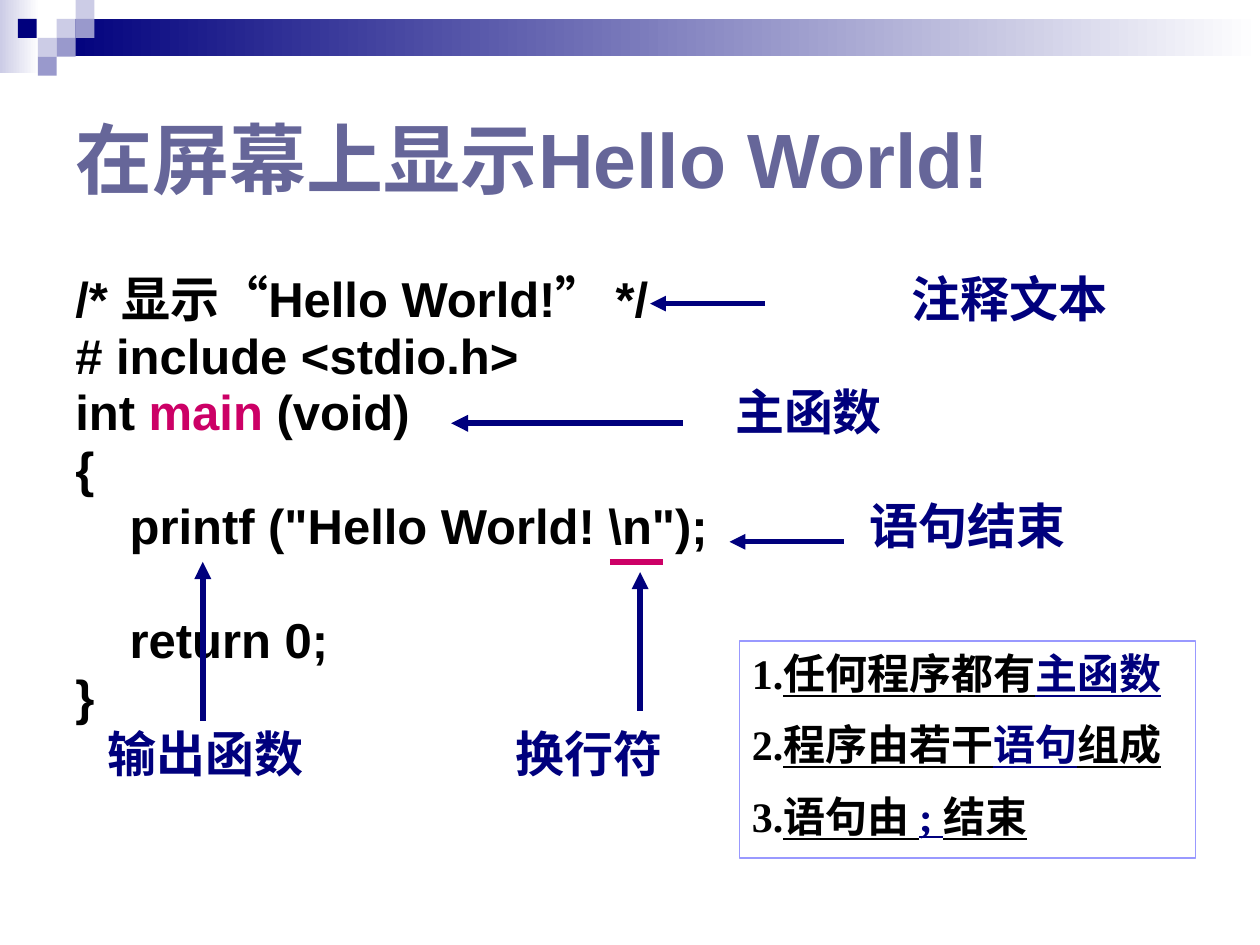
import pptx
import pptx.util
import pptx.dml.color
import pptx.enum.shapes
import pptx.enum.text
import pptx.oxml
import pptx.oxml.ns

Pt = pptx.util.Pt
RGBColor = pptx.dml.color.RGBColor
NAVY = RGBColor(0x00, 0x00, 0x7D)
PALE = RGBColor(0xCC, 0xCC, 0xE6)
LILAC = RGBColor(0x99, 0x99, 0xCC)
WHITE = RGBColor(0xFF, 0xFF, 0xFF)
BLACK = RGBColor(0x00, 0x00, 0x00)
SLATE = RGBColor(0x66, 0x66, 0x99)
PINK = RGBColor(0xCC, 0x00, 0x66)
BORDER = RGBColor(0x99, 0x99, 0xFF)


def add_span(para, text, color, **font_format):
    span = para.add_run()
    span.text = text
    for name, value in font_format.items():
        setattr(span.font, name, value)
    span.font.color.rgb = color


def add_rectangle(left, top, width, height):
    box = slide.shapes.add_shape(
        pptx.enum.shapes.MSO_SHAPE.RECTANGLE, Pt(left), Pt(top), Pt(width), Pt(height))
    box.shadow.inherit = False
    return box


deck = pptx.Presentation()
deck.slide_width = Pt(720)
deck.slide_height = Pt(540)
slide = deck.slides.add_slide(deck.slide_layouts[5])

for left, top, width, height, start in [
    (0, 0, 22.5, 41.8, PALE),
    (32.4, 10.8, 687.6, 21.4, NAVY),
]:
    band = add_rectangle(left, top, width, height)
    band.line.fill.background()
    band.fill.gradient()
    band.fill.gradient_angle = 0
    for stop, color, position in zip(band.fill.gradient_stops, (start, WHITE), (0, 1)):
        stop.color.rgb = color
        stop.position = position

TILE = 10.8
for left, row, color in [
    (32.4, 1, PALE), (43.2, 0, PALE), (43.2, 1, LILAC), (21.6, 2, PALE),
    (10.2, 1, NAVY), (32.4, 2, LILAC), (21.6, 3, LILAC),
]:
    tile = add_rectangle(left, row * TILE, TILE, TILE)
    tile.line.fill.background()
    tile.fill.solid()
    tile.fill.fore_color.rgb = color

title = slide.shapes.title
for name, value in dict(left=Pt(36), top=Pt(36), width=Pt(648), height=Pt(108)).items():
    setattr(title, name, value)
title.text_frame.vertical_anchor = pptx.enum.text.MSO_ANCHOR.MIDDLE
title_para = title.text_frame.paragraphs[0]
title_para.alignment = pptx.enum.text.PP_ALIGN.LEFT
add_span(title_para, "在屏幕上显示Hello World!", SLATE, name="Arial", size=Pt(44), bold=True)

LINE_GAP = 5.6
BLANK_LINE = 32.6
code_lines = [
    (0, [478], [("/* 显示“Hello World!” */", BLACK), ("\t注释文本", NAVY)]),
    (LINE_GAP, [], [("# include <stdio.h>", BLACK)]),
    (LINE_GAP, [377], [("int ", BLACK), ("main ", PINK), ("(void)", BLACK), ("\t主函数", NAVY)]),
    (LINE_GAP, [], [("{", BLACK)]),
    (LINE_GAP, [454], [('    printf ("Hello World! \\n");', BLACK), ("\t语句结束", NAVY)]),
    (LINE_GAP + BLANK_LINE, [], [("    return 0;", BLACK)]),
    (LINE_GAP, [], [("}", BLACK)]),
    (LINE_GAP, [18.5, 251.5], [("\t输出函数\t换行符", NAVY)]),
]
code_box = slide.shapes.add_textbox(Pt(36), Pt(156.2), Pt(635.8), Pt(329.8))
code_box.text_frame.word_wrap = True
for index, (space, tabs, spans) in enumerate(code_lines):
    para = code_box.text_frame.paragraphs[0] if index == 0 else code_box.text_frame.add_paragraph()
    para.line_spacing = 0.8
    para.space_before = Pt(space)
    if tabs:
        properties = para._p.get_or_add_pPr()
        tab_list = pptx.oxml.ns.qn("a:tabLst")
        stops = properties.makeelement(tab_list, {})
        properties.append(stops)
        for position in tabs:
            stops.append(stops.makeelement(
                pptx.oxml.ns.qn("a:tab"), {"pos": str(int(Pt(position))), "algn": "l"}))
    for text, color in spans:
        add_span(para, text, color, name="Arial", size=Pt(28), bold=True)

for start_x, start_y, end_x, end_y, color, weight, arrow in [
    (257.8, 241.9, 390.2, 241.9, NAVY, 3.25, True),
    (115.9, 321.1, 115.9, 411.8, NAVY, 3.25, True),
    (416.9, 309.6, 482.4, 309.6, NAVY, 3, True),
    (348.5, 321.1, 378.7, 321.1, PINK, 3.25, False),
    (365.8, 326.9, 365.8, 406.1, NAVY, 3.25, True),
    (371.5, 173.5, 437, 173.5, NAVY, 3, True),
]:
    pointer = slide.shapes.add_connector(
        pptx.enum.shapes.MSO_CONNECTOR.STRAIGHT, Pt(start_x), Pt(start_y), Pt(end_x), Pt(end_y))
    pointer.line.color.rgb = color
    pointer.line.width = Pt(weight)
    properties = pointer._element.spPr
    properties.append(properties.makeelement(pptx.oxml.ns.qn("a:effectLst"), {}))
    if arrow:
        outline = pointer.line._get_or_add_ln()
        outline.append(outline.makeelement(pptx.oxml.ns.qn("a:headEnd"), {"type": "triangle"}))

summary_box = add_rectangle(422.6, 366.5, 260.6, 123.8)
summary_box.fill.background()
summary_box.line.color.rgb = BORDER
summary_box.line.width = Pt(1)
summary = summary_box.text_frame
summary.word_wrap = True
summary.vertical_anchor = pptx.enum.text.MSO_ANCHOR.TOP
for index, spans in enumerate([
    [("任何程序都有", BLACK), ("主函数", NAVY)],
    [("程序由若干", BLACK), ("语句", NAVY), ("组成", BLACK)],
    [("语句由 ", BLACK), ("; ", NAVY), ("结束", BLACK)],
]):
    para = summary.paragraphs[0] if index == 0 else summary.add_paragraph()
    para.alignment = pptx.enum.text.PP_ALIGN.LEFT
    para.space_before = Pt(12 if index else 0)
    summary_format = dict(name="Times New Roman", size=Pt(24), bold=True)
    add_span(para, f"{index + 1}.", BLACK, **summary_format)
    for text, color in spans:
        add_span(para, text, color, underline=True, **summary_format)

deck.save("out.pptx")
